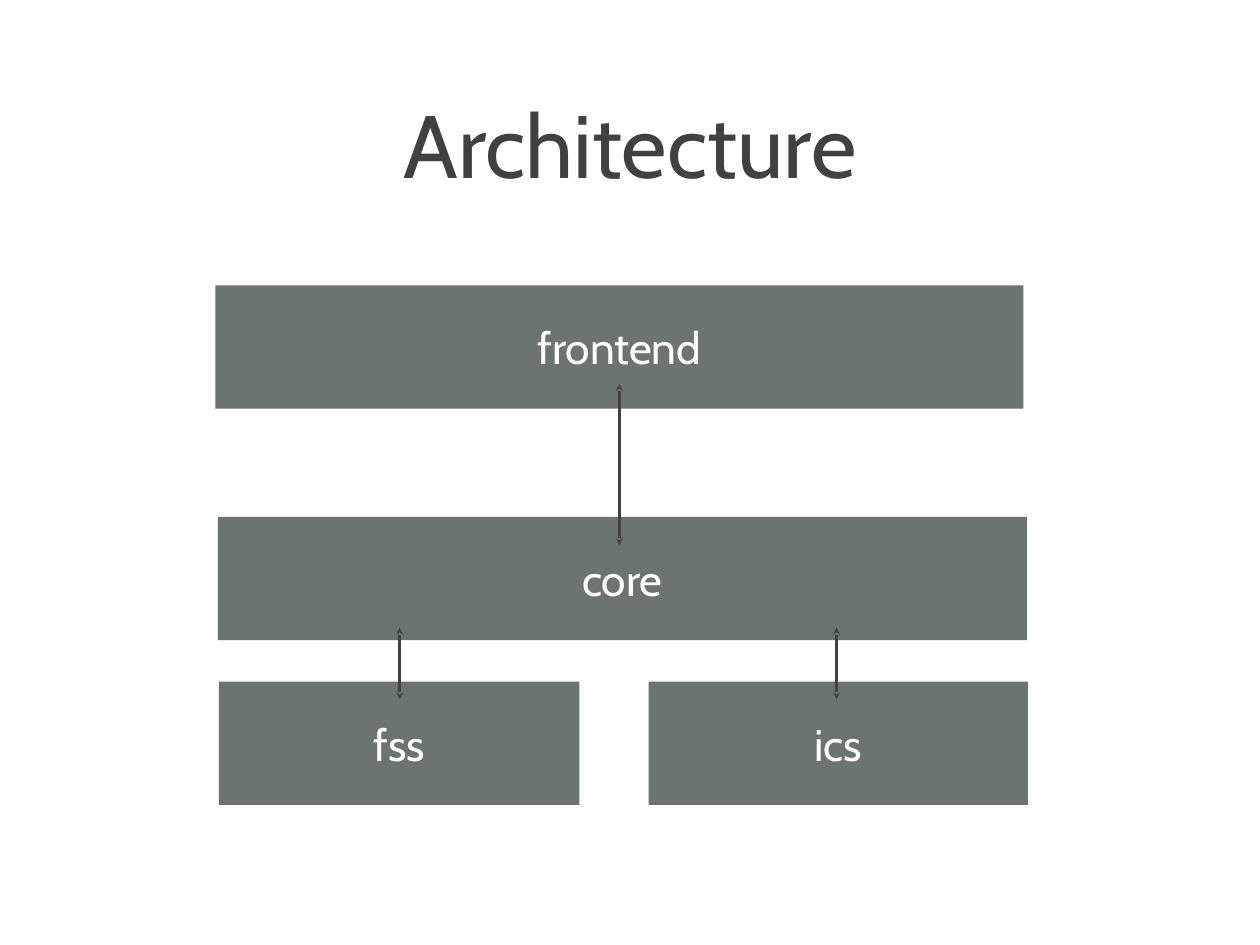
from dataclasses import dataclass

from lxml.etree import SubElement
from pptx import Presentation
from pptx.dml.color import RGBColor
from pptx.enum.shapes import MSO_CONNECTOR, MSO_SHAPE
from pptx.enum.text import MSO_ANCHOR, PP_ALIGN
from pptx.oxml.ns import qn
from pptx.slide import Slide
from pptx.text.text import TextFrame
from pptx.util import Inches, Pt

FONT = "Cabin"
DARK, GREY, WHITE = "414141", "6C7472", "FFFFFF"
LAYER_HEIGHT = 1.39


@dataclass
class Layer:
    name: str
    left: float
    top: float
    width: float


@dataclass
class Link:
    x: float
    top: float
    bottom: float


LAYERS = [
    Layer("frontend", 2.43, 3.22, 9.12),
    Layer("core", 2.46, 5.83, 9.13),
    Layer("fss", 2.47, 7.69, 4.07),
    Layer("ics", 7.32, 7.69, 4.28),
]
LINKS = [Link(6.99, 4.33, 6.15), Link(9.44, 7.08, 7.89), Link(4.51, 7.08, 7.89)]


def rgb(color: str) -> RGBColor:
    return RGBColor.from_string(color)


def write_centred(frame: TextFrame, text: str, size: int, color: str, inset: float) -> None:
    frame_format = {
        "word_wrap": True,
        "vertical_anchor": MSO_ANCHOR.MIDDLE,
        **{f"margin_{side}": Inches(inset) for side in ("left", "top", "right", "bottom")},
    }
    for name, value in frame_format.items():
        setattr(frame, name, value)
    paragraph = frame.paragraphs[0]
    paragraph.alignment = PP_ALIGN.CENTER
    run = paragraph.add_run()
    run.text = text
    for name, value in {"name": FONT, "size": Pt(size)}.items():
        setattr(run.font, name, value)
    run.font.color.rgb = rgb(color)


def draw_title(slide: Slide, text: str) -> None:
    title = slide.shapes.add_textbox(Inches(0.39), Inches(0.28), Inches(13.44), Inches(2.67))
    write_centred(title.text_frame, text, 72, DARK, 0.06)


def draw_layer(slide: Slide, layer: Layer) -> None:
    block = slide.shapes.add_shape(
        MSO_SHAPE.RECTANGLE,
        Inches(layer.left), Inches(layer.top), Inches(layer.width), Inches(LAYER_HEIGHT),
    )
    block.shadow.inherit = False
    block.fill.solid()
    block.fill.fore_color.rgb = rgb(GREY)
    block.line.fill.background()
    write_centred(block.text_frame, layer.name, 36, WHITE, 0)


def draw_link(slide: Slide, link: Link) -> None:
    """Draw a vertical arrow with a head at both ends."""
    arrow = slide.shapes.add_connector(
        MSO_CONNECTOR.STRAIGHT,
        Inches(link.x), Inches(link.top), Inches(link.x), Inches(link.bottom),
    )
    arrow.line.color.rgb = rgb(DARK)
    arrow.line.width = Pt(2)
    properties = arrow.element.spPr
    outline = properties.find(qn("a:ln"))
    for end in ("a:headEnd", "a:tailEnd"):
        SubElement(outline, qn(end), type="stealth")
    SubElement(properties, qn("a:effectLst"))


def main() -> None:
    deck = Presentation()
    deck.slide_width, deck.slide_height = Inches(14.22), Inches(10.66)
    slide = deck.slides.add_slide(deck.slide_layouts[6])
    draw_title(slide, "Architecture")
    for layer in LAYERS:
        draw_layer(slide, layer)
    for link in LINKS:
        draw_link(slide, link)
    deck.save("out.pptx")


if __name__ == "__main__":
    main()
